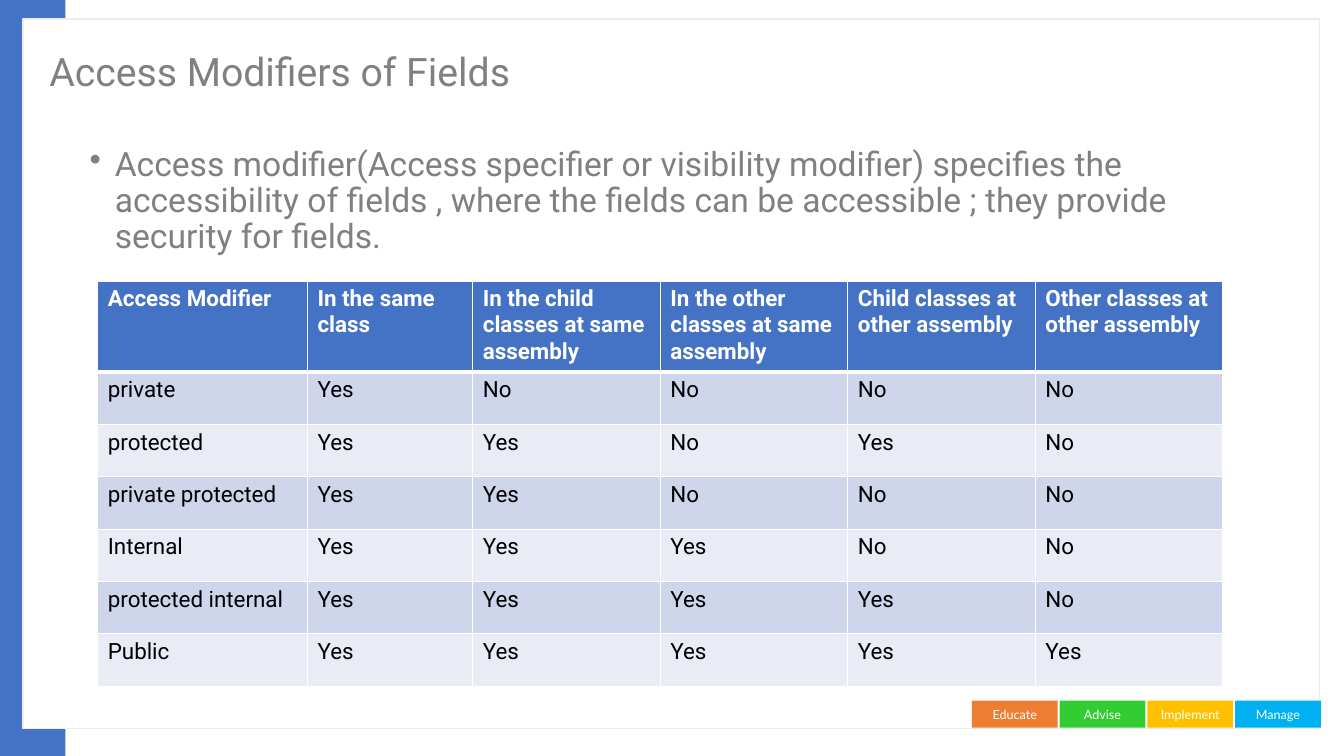
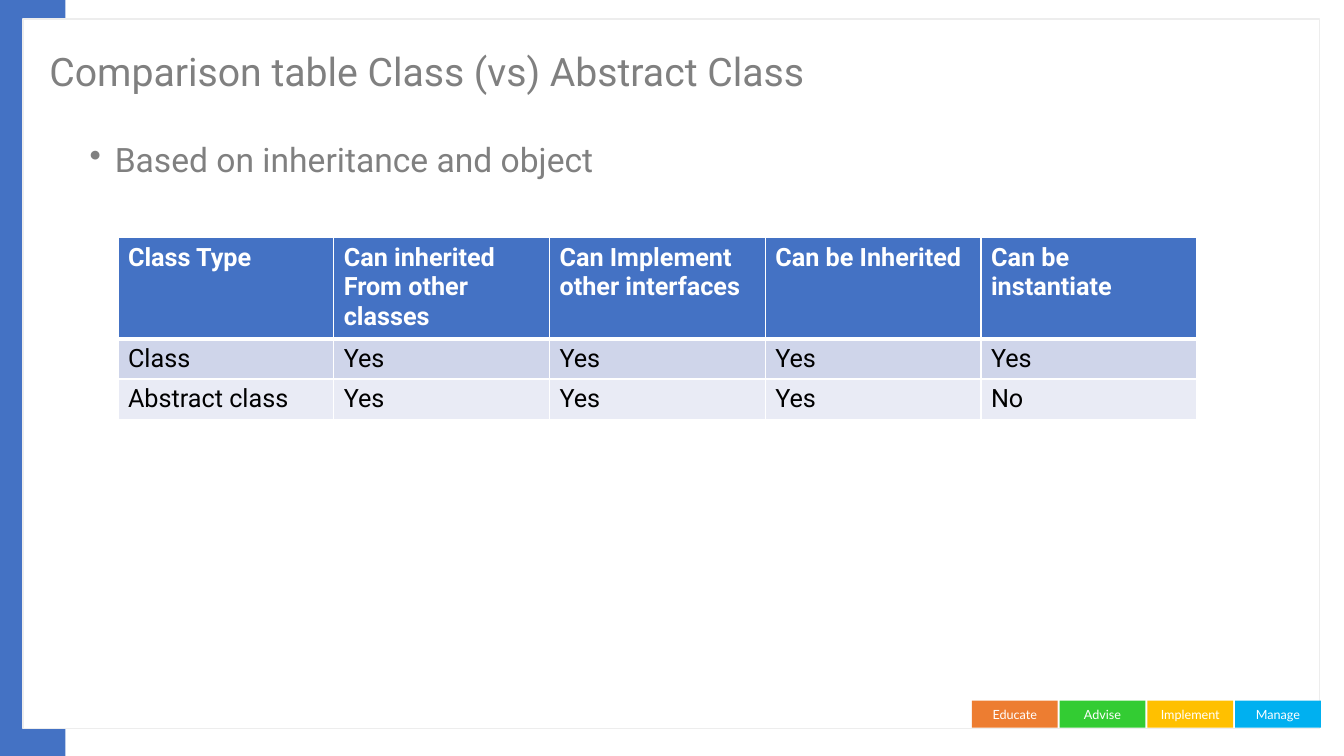
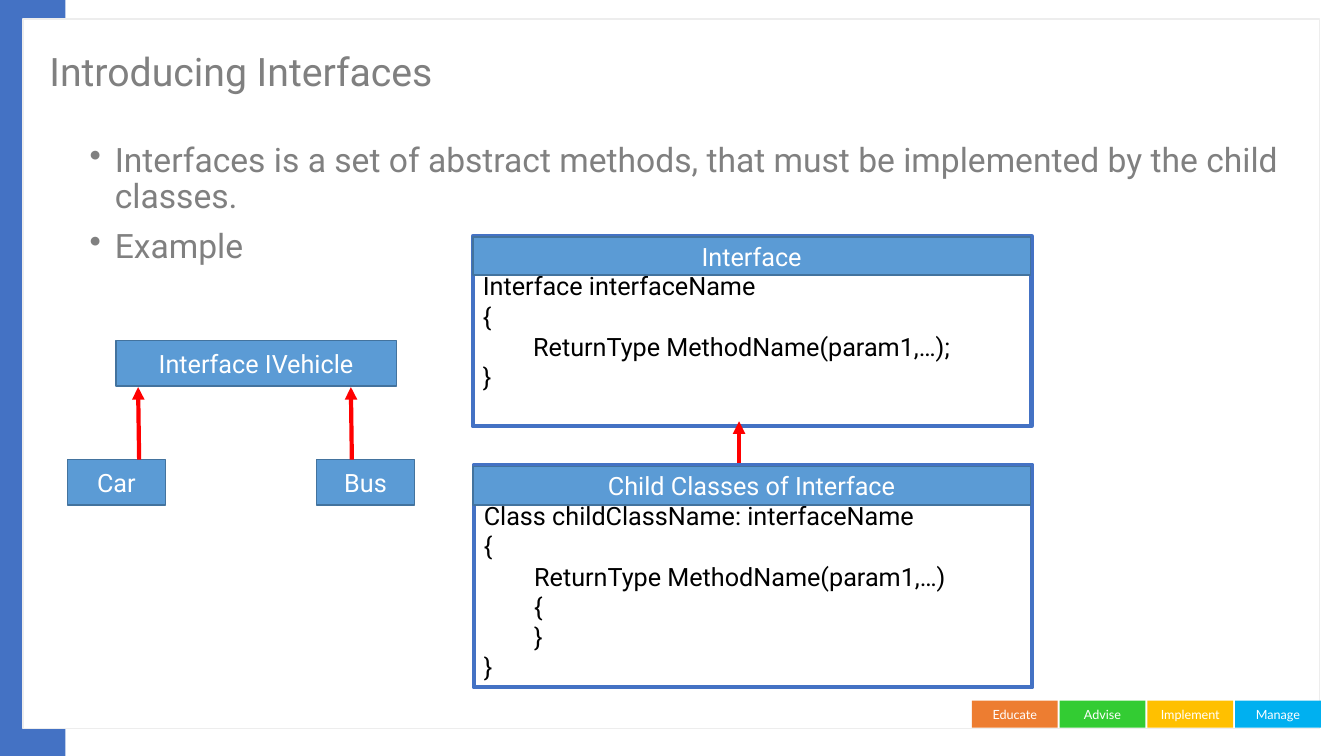
import pptx
import pptx.util
import pptx.dml.color
import pptx.enum.shapes
import pptx.enum.text
import pptx.oxml
import pptx.oxml.ns
import pptx.shapes.shapetree
from lxml import etree

PX = 9144  # 100 px to the inch
HUES = {
    "blue": "4472C4", "white": "FFFFFF", "edge": "EDEDED", "gray": "808080",
    "black": "000000", "sky": "5B9BD5", "navy": "43739E", "red": "FF0000",
    "odd": "CFD5EA", "even": "E9EBF5",
    "orange": "ED7D31", "green": "33CC33", "gold": "FFC000", "cyan": "00B0F0",
}
TAGS = [("Educate", "orange"), ("Advise", "green"),
        ("Implement", "gold"), ("Manage", "cyan")]
RECT = pptx.enum.shapes.MSO_SHAPE.RECTANGLE
LINK = pptx.enum.shapes.MSO_CONNECTOR.STRAIGHT
MID = pptx.enum.text.MSO_ANCHOR.MIDDLE
LEFT = pptx.enum.text.PP_ALIGN.LEFT
CENTER = pptx.enum.text.PP_ALIGN.CENTER


def px(*nums):
    return [pptx.util.Emu(n * PX) for n in nums]


def hue(name):
    return pptx.dml.color.RGBColor.from_string(HUES[name])


def put(thing, **vals):
    """Set each named attribute of a thing."""
    for key, val in vals.items():
        setattr(thing, key, val)


def node(parent, tag, **attrs):
    return etree.SubElement(parent, pptx.oxml.ns.qn(tag), attrs)


def write(frame, text, size, color, face="Roboto", bold=False, **para):
    """Fill a text frame; each line of the text is a paragraph."""
    frame.text = text
    frame.word_wrap = True
    for par in frame.paragraphs:
        put(par, **para)
        for run in par.runs:
            put(run.font, name=face, size=pptx.util.Pt(size), bold=bold)
            run.font.color.rgb = hue(color)


def stroke(line, color, width):
    line.color.rgb = hue(color)
    line.width = pptx.util.Pt(width)


def rect(shapes, at, fill, edge=None, width=1):
    box = shapes.add_shape(RECT, *px(*at))
    box.shadow.inherit = False
    box.fill.solid()
    box.fill.fore_color.rgb = hue(fill)
    if edge:
        stroke(box.line, edge, width)
    else:
        box.line.fill.background()
    box.text_frame.vertical_anchor = MID
    return box


def label(shapes, at, text):
    box = rect(shapes, at, "sky", "navy")
    write(box.text_frame, text, 18, "white", alignment=CENTER)


def code(shapes, at, text, top=5):
    box = rect(shapes, at, "white", "blue", 3)
    box.text_frame.margin_top = px(top)[0]
    write(box.text_frame, text, 18, "black", alignment=LEFT)


def arrow(shapes, *ends):
    link = shapes.add_connector(LINK, *px(*ends))
    stroke(link.line, "red", 3)
    node(link.line._get_or_add_ln(), "a:tailEnd", type="triangle")
    node(link._element.spPr, "a:effectLst")


def dress(layout):
    """Draw the side band, panel and footer tags on the layout."""
    shapes = pptx.shapes.shapetree.SlideShapes(layout.shapes.element, layout)
    rect(shapes, (0, 0, 65, 750), "blue")
    rect(shapes, (23, 19, 1286, 704), "white", "edge")
    for i, (text, fill) in enumerate(TAGS):
        tag = rect(shapes, (964 + 87 * i, 695, 85, 27), fill)
        write(tag.text_frame, text, 9, "white", "Lato", alignment=CENTER)


def page(deck, layout, title):
    slide = deck.slides.add_slide(layout)
    head = slide.shapes.title
    left, top, width, height = px(39, 30, 1032, 87)
    put(head, left=left, top=top, width=width, height=height)
    head.text_frame.vertical_anchor = MID
    write(head.text_frame, title, 28, "gray", alignment=LEFT, line_spacing=0.9)
    return slide.shapes


def points(shapes, at, text):
    frame = shapes.add_textbox(*px(*at)).text_frame
    write(frame, text, 24, "gray", line_spacing=0.9)
    for i, par in enumerate(frame.paragraphs):
        if i:
            par.space_before = pptx.util.Pt(10)
        props = par._p.get_or_add_pPr()
        props.set("marL", str(25 * PX))
        props.set("indent", str(-25 * PX))
        node(props, "a:buChar", char="•")


def border(cell, row):
    """Rule a cell in white, thick between header and body."""
    props = cell._tc.get_or_add_tcPr()
    for side in "LRTB":
        thick = (row, side) in ((0, "B"), (1, "T"))
        width = pptx.util.Pt(3 if thick else 1)
        line = node(props, f"a:ln{side}", w=str(width))
        node(node(line, "a:solidFill"), "a:srgbClr", val=HUES["white"])


def grid(shapes, left, top, cols, highs, size, rows):
    at = px(left, top, sum(cols), sum(highs))
    table = shapes.add_table(len(rows), len(cols), *at).table
    for col, wide in zip(table.columns, px(*cols)):
        col.width = wide
    for r, (row, high) in enumerate(zip(rows, px(*highs))):
        table.rows[r].height = high
        fill = "odd" if r % 2 else "even"
        for c, text in enumerate(row):
            cell = table.cell(r, c)
            border(cell, r)
            cell.fill.solid()
            cell.fill.fore_color.rgb = hue(fill if r else "blue")
            write(cell.text_frame, text, size, "black" if r else "white",
                  bold=not r)


def access(shapes):
    points(shapes, (79, 141, 1151, 219),
           "Access modifier(Access specifier or visibility modifier) specifies "
           "the accessibility of fields , where the fields can be accessible ; "
           "they provide security for fields.")
    grid(shapes, 97, 279, [208, 164] + [186] * 4, [87] + [52] * 6, 16, [
        ["Access Modifier", "In the same class",
         "In the child classes at same assembly",
         "In the other classes at same assembly",
         "Child classes at other assembly", "Other classes at other assembly"],
        ["private", "Yes", "No", "No", "No", "No"],
        ["protected", "Yes", "Yes", "No", "Yes", "No"],
        ["private protected", "Yes", "Yes", "No", "No", "No"],
        ["Internal", "Yes", "Yes", "Yes", "No", "No"],
        ["protected internal", "Yes", "Yes", "Yes", "Yes", "No"],
        ["Public", "Yes", "Yes", "Yes", "Yes", "Yes"],
    ])


def compare(shapes):
    points(shapes, (79, 137, 1209, 546), "Based on inheritance and object")
    grid(shapes, 117, 236, [214] * 5, [96, 39, 39], 18, [
        ["Class Type", "Can inherited\nFrom other classes",
         "Can Implement other interfaces", "Can be Inherited",
         "Can be instantiate"],
        ["Class", "Yes", "Yes", "Yes", "Yes"],
        ["Abstract class", "Yes", "Yes", "Yes", "No"],
    ])


def faces(shapes):
    points(shapes, (79, 137, 1209, 546),
           "Interfaces is a set of abstract methods, that must be implemented "
           "by the child classes.\nExample")
    label(shapes, (115, 338, 278, 45), "Interface IVehicle")
    for left, text in ((67, "Car"), (314, "Bus")):
        label(shapes, (left, 456, 97, 45), text)
    for x in (138, 349):
        arrow(shapes, x, 456, x - 1, 384)
    code(shapes, (469, 234, 554, 189),
         "Interface interfaceName\n{\n"
         "\tReturnType MethodName(param1,…);\n}")
    label(shapes, (469, 235, 553, 38), "Interface")
    arrow(shapes, 733, 463, 733, 418)
    code(shapes, (470, 461, 554, 221),
         "Class childClassName: interfaceName\n{\n"
         "\tReturnType MethodName(param1,…)\n\t{\n\t}\n}", top=35)
    label(shapes, (469, 463, 553, 38), "Child Classes of Interface")


def main():
    deck = pptx.Presentation()
    deck.slide_width, deck.slide_height = px(1333, 750)
    layout = deck.slide_layouts[5]
    dress(layout)
    for title, fill in (
            ("Access Modifiers of Fields", access),
            ("Comparison table Class (vs) Abstract Class", compare),
            ("Introducing Interfaces", faces)):
        fill(page(deck, layout, title))
    deck.save("out.pptx")


if __name__ == "__main__":
    main()
